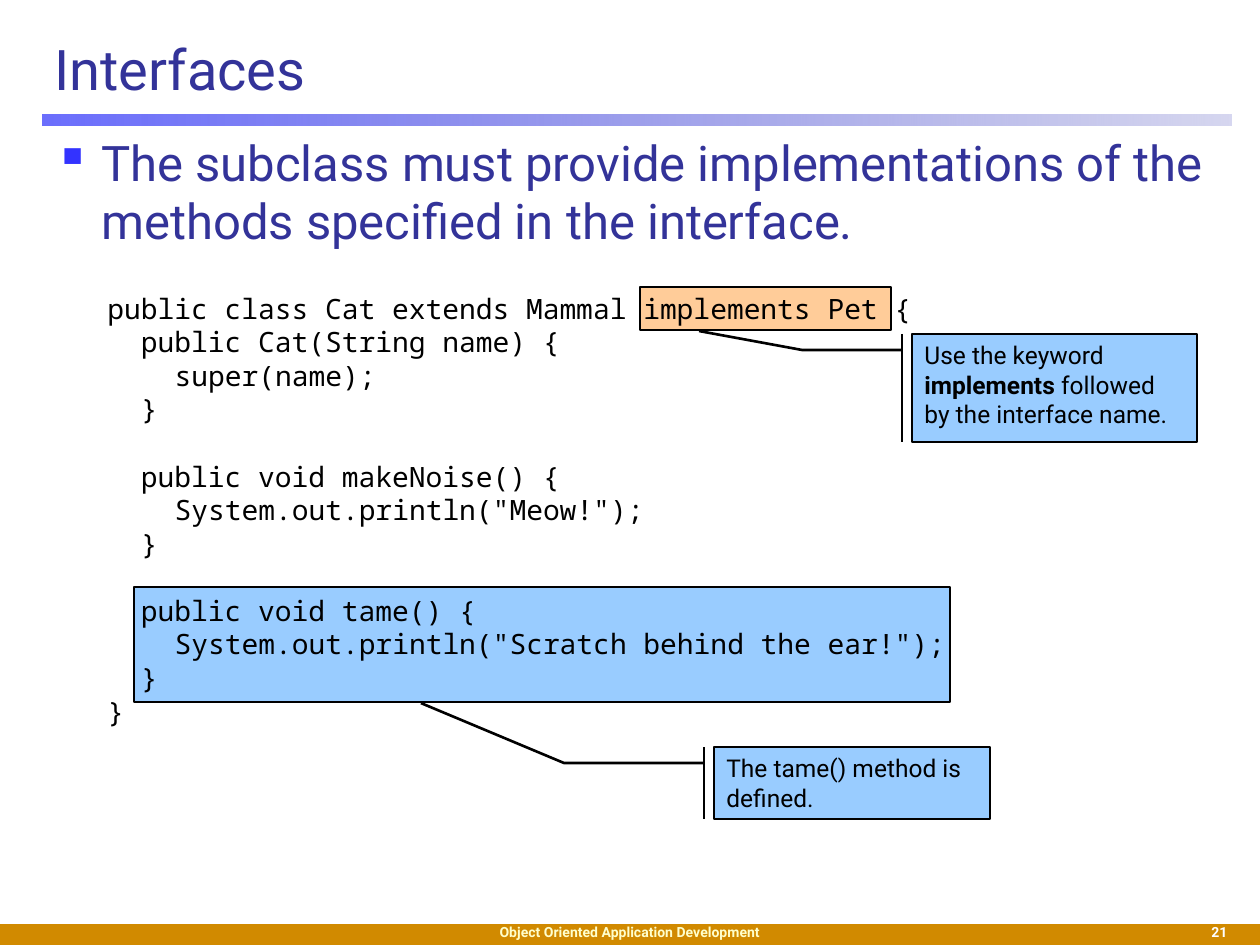
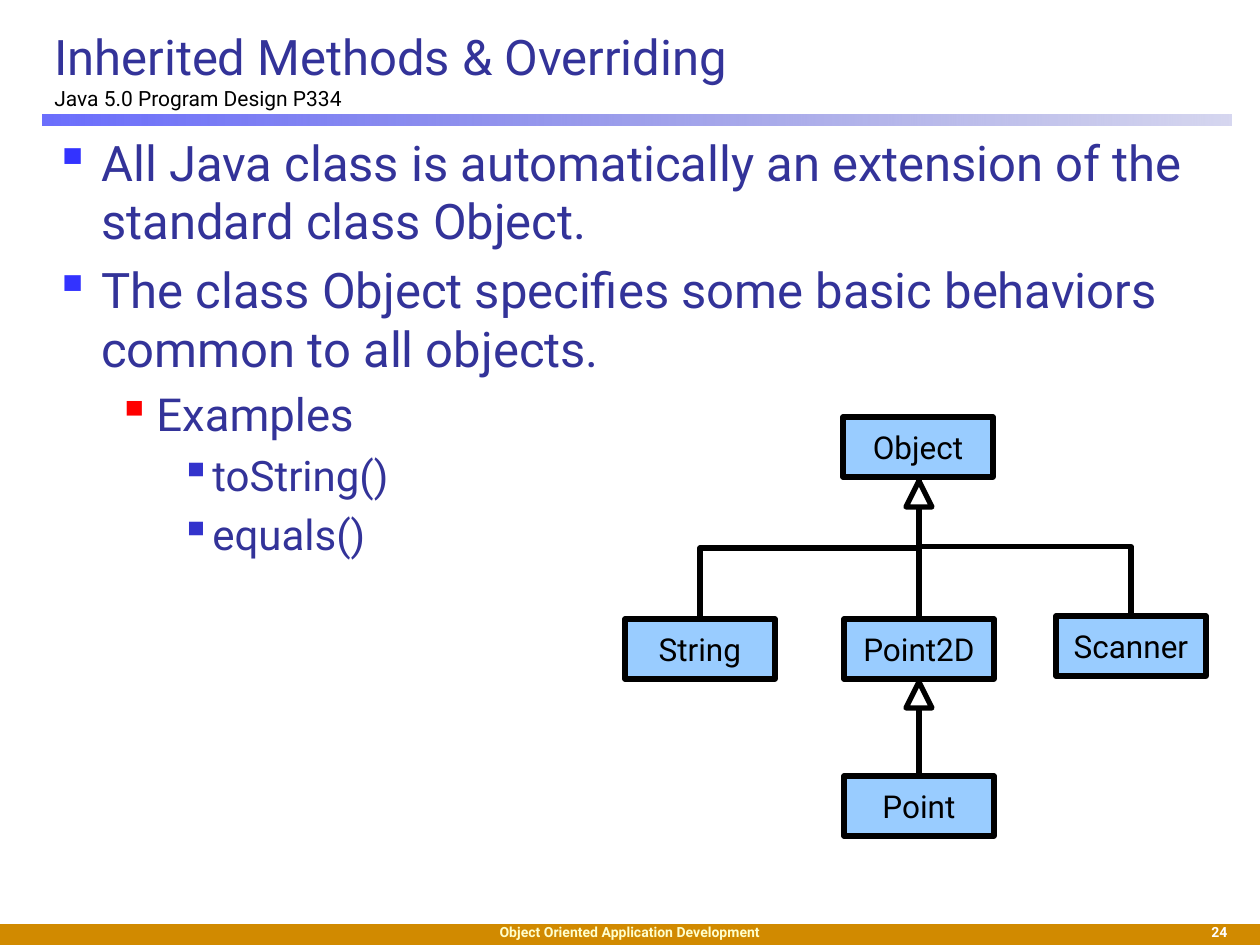
from lxml import etree
from pptx import Presentation
from pptx.dml.color import RGBColor
from pptx.enum.shapes import MSO_CONNECTOR, MSO_SHAPE
from pptx.enum.text import MSO_ANCHOR, PP_ALIGN
from pptx.oxml.ns import qn
from pptx.util import Emu, Pt

RECT = MSO_SHAPE.RECTANGLE
TRIANGLE = MSO_SHAPE.ISOSCELES_TRIANGLE
CALLOUT = MSO_SHAPE.LINE_CALLOUT_2_BORDER_AND_ACCENT_BAR
STRAIGHT, ELBOW = MSO_CONNECTOR.STRAIGHT, MSO_CONNECTOR.ELBOW
LEFT, CENTER, RIGHT = PP_ALIGN.LEFT, PP_ALIGN.CENTER, PP_ALIGN.RIGHT
TOP, MIDDLE = MSO_ANCHOR.TOP, MSO_ANCHOR.MIDDLE

BLACK = RGBColor(0x00, 0x00, 0x00)
WHITE = RGBColor(0xFF, 0xFF, 0xFF)
NAVY = RGBColor(0x33, 0x33, 0x99)
OCHRE = RGBColor(0xD1, 0x8A, 0x00)
CREAM = RGBColor(0xFF, 0xFF, 0xCC)
PEACH = RGBColor(0xFF, 0xCC, 0x99)
SKY = RGBColor(0x99, 0xCC, 0xFF)
RULE_START = RGBColor(0x46, 0x4A, 0xFC)
RULE_END = RGBColor(0x32, 0x35, 0xB4)

SANS, MONO = "Roboto", "Noto Sans Mono"

# Body levels: text size, left margin, hanging indent, bullet colour
LEVELS = [(28, 47, 47, "3333FF"), (26, 102, 39, "FF0000"), (24, 158, 32, "3333CC")]

CODE_SIZE = 16
CODE_INDENT = 1.2 * CODE_SIZE  # two characters, in points
CODE_GAP = 1.2 * CODE_SIZE     # one line, in points

BOX_W, BOX_H = 150, 60


def px(n):
    return Emu(round(n * 914400 / 126))


# ---- Text ----
def style(p, size, color, font=SANS, bold=False):
    for r in p.runs:
        r.font.name = font
        r.font.size = Pt(size)
        r.font.color.rgb = color
        r.font.bold = bold


def textbox(s, x, y, w, h, anchor=TOP):
    tf = s.shapes.add_textbox(px(x), px(y), px(w), px(h)).text_frame
    tf.word_wrap = True
    tf.vertical_anchor = anchor
    return tf


def label(s, x, y, w, h, text, color, align):
    p = textbox(s, x, y, w, h).paragraphs[0]
    p.text = text
    p.alignment = align
    style(p, 8, color, bold=True)


def paragraphs(tf, lines):
    tf.text = "\n".join(lines)
    return tf.paragraphs


def title(s, text, size, subtitle=None):
    p = textbox(s, 42, 21, 1187, 95, MIDDLE).paragraphs[0]
    p.text = f"{text}\n{subtitle}" if subtitle else text
    style(p, size, NAVY)
    if subtitle:
        p.runs[-1].font.size = Pt(12)
        p.runs[-1].font.color.rgb = BLACK


def body(s, items):
    tf = textbox(s, 42, 126, 1187, 766)
    for p, (level, _) in zip(paragraphs(tf, [text for _, text in items]), items):
        size, margin, hanging, color = LEVELS[level]
        p.level = level
        p.space_before = Pt(0.2 * size)
        style(p, size, NAVY)
        pPr = p._p.get_or_add_pPr()
        pPr.set("marL", str(px(margin)))
        pPr.set("indent", str(-px(hanging)))
        clr = etree.SubElement(pPr, qn("a:buClr"))
        etree.SubElement(clr, qn("a:srgbClr")).set("val", color)
        etree.SubElement(pPr, qn("a:buChar")).set("char", "▪")


def code(s, x, y, w, h, blocks):
    """Blocks of (indent, text) lines, one line of space between blocks."""
    lines = [line for block in blocks for line in block]
    starts = [block[0] for block in blocks[1:]]
    tf = textbox(s, x, y, w, h)
    for p, line in zip(paragraphs(tf, [text for _, text in lines]), lines):
        style(p, CODE_SIZE, BLACK, MONO)
        p._p.get_or_add_pPr().set("marL", str(Pt(line[0] * CODE_INDENT)))
        if line in starts:
            p.space_before = Pt(CODE_GAP)


# ---- Shapes ----
def shape(s, kind, x, y, w, h, fill=None, line=None):
    sp = s.shapes.add_shape(kind, px(x), px(y), px(w), px(h))
    sp.shadow.inherit = False
    if fill is not None:
        sp.fill.solid()
        sp.fill.fore_color.rgb = fill
    if line:
        sp.line.color.rgb = BLACK
        sp.line.width = Pt(line)
    else:
        sp.line.fill.background()
    return sp


def callout(s, x, y, w, h, leader, parts):
    """Box with a leader through points; parts are (text, bold)."""
    sp = shape(s, CALLOUT, x, y, w, h, SKY, 1.5)
    for i, (lx, ly) in enumerate(leader):
        sp.adjustments[2 * i] = (ly - y) / h
        sp.adjustments[2 * i + 1] = (lx - x) / w
    tf = sp.text_frame
    tf.word_wrap = True
    tf.vertical_anchor = TOP
    p = tf.paragraphs[0]
    p.alignment = LEFT
    for text, _ in parts:
        p.add_run().text = text
    style(p, 14, BLACK)
    for r, (_, bold) in zip(p.runs, parts):
        r.font.bold = bold


def class_box(s, x, y, name):
    sp = shape(s, RECT, x, y, BOX_W, BOX_H, SKY, 3)
    tf = sp.text_frame
    tf.text = name
    tf.word_wrap = False
    tf.vertical_anchor = MIDDLE
    tf.paragraphs[0].alignment = CENTER
    style(tf.paragraphs[0], 18, BLACK)


def connector(s, kind, x1, y1, x2, y2):
    c = s.shapes.add_connector(kind, px(x1), px(y1), px(x2), px(y2))
    c.line.color.rgb = BLACK
    c.line.width = Pt(3)
    etree.SubElement(c._element.spPr, qn("a:effectLst"))
    return c


def riser(s, x1, y1, x2, y2):
    """Elbow that leaves (x1, y1) upwards and enters (x2, y2) from below."""
    w, h = abs(y2 - y1), abs(x2 - x1)
    cx, cy = (x1 + x2) / 2, (y1 + y2) / 2
    c = connector(s, ELBOW, cx - w / 2, cy - h / 2, cx + w / 2, cy + h / 2)
    xfrm = c._element.spPr.find(qn("a:xfrm"))
    from_right = x1 > x2
    xfrm.set("rot", str((90 if from_right else 270) * 60000))
    if from_right:
        xfrm.set("flipH", "1")


# ---- Shared slide frame ----
def new_slide(prs, number):
    s = prs.slides.add_slide(prs.slide_layouts[6])
    shape(s, RECT, 0, 924, 1260, 21, OCHRE)
    rule = shape(s, RECT, 42, 115, 1189, 11)
    rule.fill.gradient()
    rule.fill.gradient_angle = 0
    stops = zip(rule.fill.gradient_stops, [(RULE_START, 80), (RULE_END, 20)])
    for stop, (color, opacity) in stops:
        stop.color.rgb = color
        clr = stop._gs.find(qn("a:srgbClr"))
        etree.SubElement(clr, qn("a:alpha")).set("val", str(opacity * 1000))
    label(s, 1061, 917, 179, 28, str(number), WHITE, RIGHT)
    label(s, 378, 917, 504, 21, "Object Oriented Application Development",
          CREAM, CENTER)
    return s


# ---- Slides ----
def interfaces_slide(prs):
    s = new_slide(prs, 21)
    shape(s, RECT, 640, 287, 251, 43, PEACH, 1)
    shape(s, RECT, 134, 587, 816, 115, SKY, 1)
    title(s, "Interfaces", 32)
    body(s, [(0, "The subclass must provide implementations of the methods "
                 "specified in the interface.")])
    code(s, 95, 285, 918, 451, [
        [(0, "public class Cat extends Mammal implements Pet {"),
         (1, "public Cat(String name) {"),
         (2, "super(name);"),
         (1, "}")],
        [(1, "public void makeNoise() {"),
         (2, 'System.out.println("Meow!");'),
         (1, "}")],
        [(1, "public void tame() {"),
         (2, 'System.out.println("Scratch behind the ear!");'),
         (1, "}"),
         (0, "}")],
    ])
    callout(s, 714, 747, 276, 72, [(704, 763), (564, 763), (421, 703)],
            [("The tame() method is defined.", False)])
    callout(s, 912, 334, 285, 108, [(902, 350), (802, 350), (699, 331)],
            [("Use the keyword ", False), ("implements ", True),
             ("followed by the interface name.", False)])


def overriding_slide(prs):
    s = new_slide(prs, 24)
    title(s, "Inherited Methods & Overriding", 28, "Java 5.0 Program Design P334")
    body(s, [
        (0, "All Java class is automatically an extension of the standard "
            "class Object."),
        (0, "The class Object specifies some basic behaviors common to all "
            "objects."),
        (1, "Examples"),
        (2, "toString()"),
        (2, "equals()"),
    ])

    # Class tree
    class_box(s, 843, 417, "Object")
    for x, y, name in [(625, 619, "String"), (844, 619, "Point2D"),
                       (1056, 616, "Scanner")]:
        class_box(s, x, y, name)
        riser(s, x + BOX_W / 2, y - 3, 919, 480)
    class_box(s, 844, 776, "Point")
    connector(s, STRAIGHT, 919, 774, 919, 682)
    for y in (481, 682):
        shape(s, TRIANGLE, 906, y, 26, 26, WHITE, 3)


def main():
    prs = Presentation()
    prs.slide_width, prs.slide_height = px(1260), px(945)
    interfaces_slide(prs)
    overriding_slide(prs)
    prs.save("out.pptx")


main()
